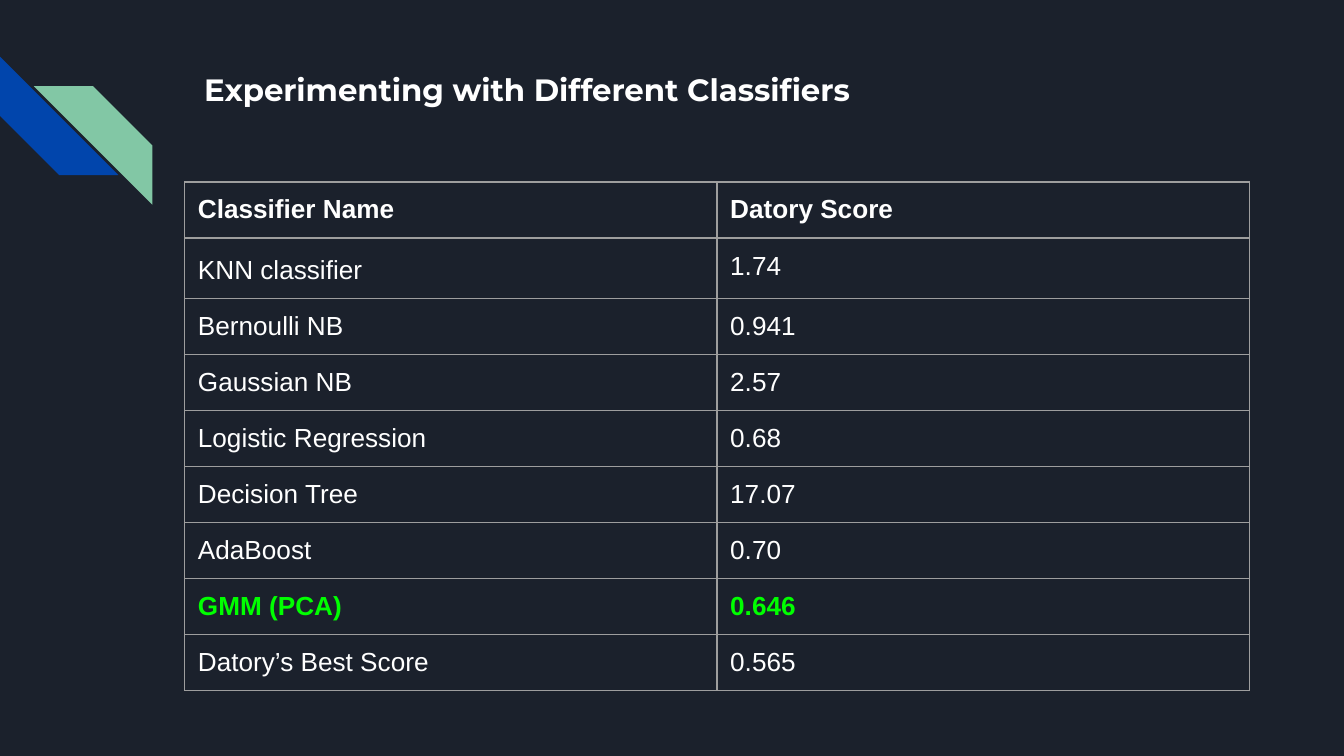
"""Build a dark slide with a table of classifier scores."""
from dataclasses import dataclass

from lxml.etree import SubElement
from pptx import Presentation
from pptx.dml.color import RGBColor
from pptx.enum.shapes import MSO_SHAPE
from pptx.enum.text import MSO_ANCHOR, MSO_AUTO_SIZE, PP_ALIGN
from pptx.oxml.ns import qn
from pptx.util import Cm, Pt

TITLE = "Experimenting with Different Classifiers"
ROWS = [
    ("Classifier Name", "Datory Score"),
    ("KNN classifier", "1.74"),
    ("Bernoulli NB", "0.941"),
    ("Gaussian NB", "2.57"),
    ("Logistic Regression", "0.68"),
    ("Decision Tree", "17.07"),
    ("AdaBoost", "0.70"),
    ("GMM (PCA)", "0.646"),
    ("Datory’s Best Score", "0.565"),
]
HEADER_ROW, LOOSE_ROW, BEST_ROW = 0, 1, 7


@dataclass(frozen=True)
class Theme:
    background: str = "1B212C"
    blue: str = "0145AC"
    green: str = "82C7A5"
    text: str = "FFFFFF"
    highlight: str = "00FF00"
    border: str = "9E9E9E"
    title_font: str = "Montserrat"
    body_font: str = "Arial"
    title_size: float = 16.5
    body_size: float = 14
    border_width: float = 0.75


THEME = Theme()
STRIPES = [(0, 1.07, 270, THEME.blue), (0.64, 1.63, 90, THEME.green)]
STRIPE_SIZE = Cm(2.24)
TABLE_LEFT, TABLE_TOP = Cm(3.49), Cm(3.44)
COLUMN_WIDTH, ROW_HEIGHT = Cm(10.06), Cm(1.06)
INSET = Cm(0.25)


def set_font(paragraph, name, size, color, bold):
    font = paragraph.font
    font.name, font.size, font.bold = name, Pt(size), bold
    font.color.rgb = RGBColor.from_string(color)


def add_stripe(page, left, top, rotation, color):
    stripe = page.shapes.add_shape(
        MSO_SHAPE.DIAGONAL_STRIPE, Cm(left), Cm(top), STRIPE_SIZE, STRIPE_SIZE)
    stripe.rotation = rotation
    stripe.shadow.inherit = False
    stripe.fill.solid()
    stripe.fill.fore_color.rgb = RGBColor.from_string(color)
    stripe.line.fill.background()


def add_title(page):
    title = page.shapes.title
    title.left, title.top, title.width, title.height = Cm(3.61), Cm(1.09), Cm(19.56), Cm(2.54)
    frame = title.text_frame
    frame.text = TITLE
    frame.word_wrap = True
    frame.auto_size = MSO_AUTO_SIZE.NONE
    frame.vertical_anchor = MSO_ANCHOR.TOP
    frame.margin_left = frame.margin_right = frame.margin_top = frame.margin_bottom = INSET
    paragraph = frame.paragraphs[0]
    paragraph.alignment = PP_ALIGN.LEFT
    paragraph.space_before = Pt(11)
    set_font(paragraph, THEME.title_font, THEME.title_size, THEME.text, True)


def draw_borders(cell):
    properties = cell._tc.get_or_add_tcPr()
    for side in ("lnL", "lnR", "lnT", "lnB"):
        line = SubElement(properties, qn(f"a:{side}"), w=str(Pt(THEME.border_width)))
        fill = SubElement(line, qn("a:solidFill"))
        SubElement(fill, qn("a:srgbClr"), val=THEME.border)


def add_table(page):
    columns = len(ROWS[0])
    table = page.shapes.add_table(
        len(ROWS), columns, TABLE_LEFT, TABLE_TOP,
        COLUMN_WIDTH * columns, ROW_HEIGHT * len(ROWS)).table
    table.first_row = table.horz_banding = False
    for column in table.columns:
        column.width = COLUMN_WIDTH
    for row_index, values in enumerate(ROWS):
        table.rows[row_index].height = ROW_HEIGHT
        color = THEME.highlight if row_index == BEST_ROW else THEME.text
        bold = row_index in (HEADER_ROW, BEST_ROW)
        for column_index, value in enumerate(values):
            cell = table.cell(row_index, column_index)
            cell.text = value
            cell.margin_left = cell.margin_right = cell.margin_top = cell.margin_bottom = INSET
            draw_borders(cell)
            cell.fill.background()
            set_font(cell.text_frame.paragraphs[0], THEME.body_font, THEME.body_size, color, bold)
    table.cell(LOOSE_ROW, 0).text_frame.paragraphs[0].line_spacing = 1.15


def main():
    deck = Presentation()
    deck.slide_width, deck.slide_height = Cm(25.4), Cm(14.29)
    page = deck.slides.add_slide(deck.slide_layouts.get_by_name("Title Only"))
    page.background.fill.solid()
    page.background.fill.fore_color.rgb = RGBColor.from_string(THEME.background)
    for stripe in STRIPES:
        add_stripe(page, *stripe)
    add_title(page)
    add_table(page)
    deck.save("out.pptx")


if __name__ == "__main__":
    main()
